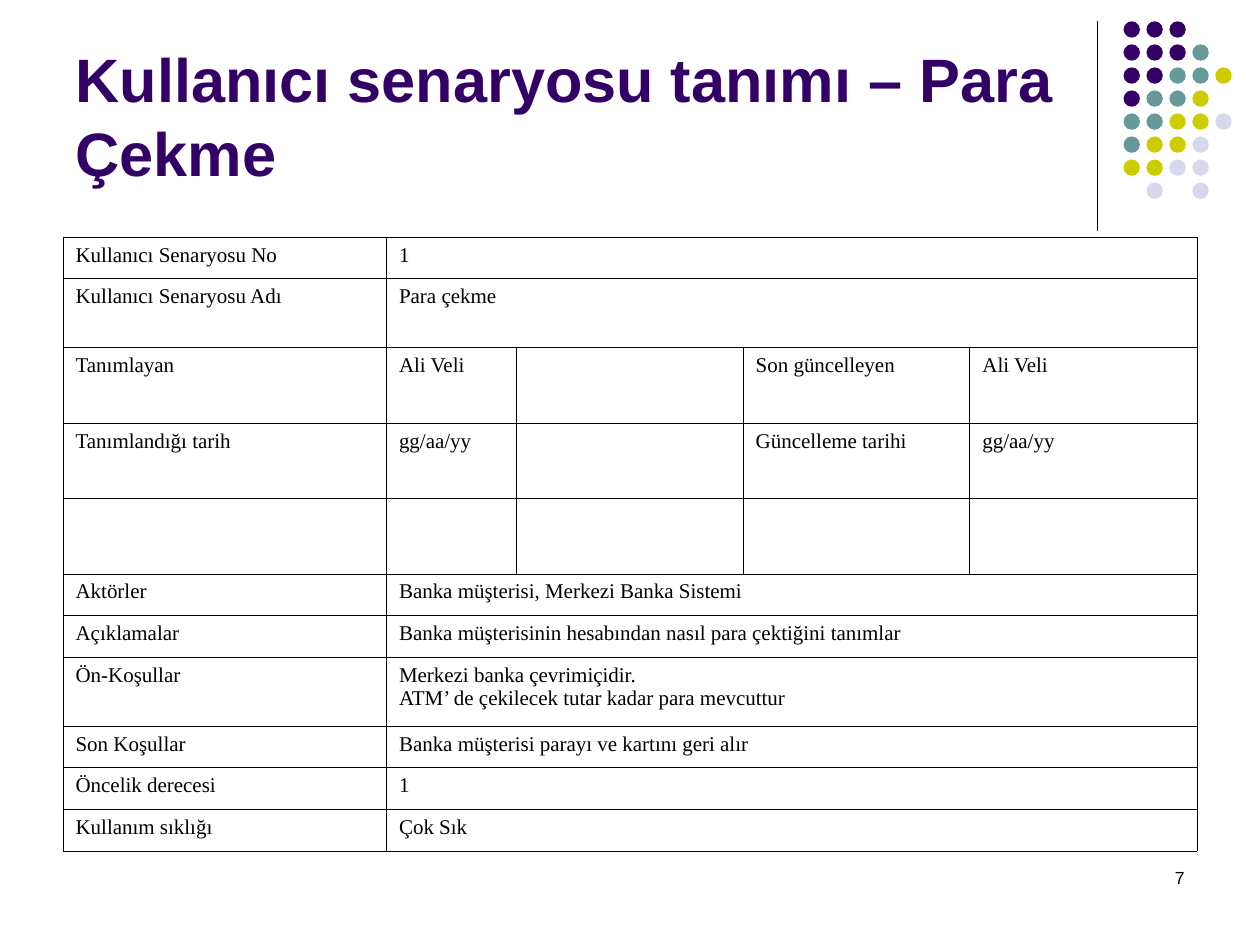
import dataclasses

import pptx
import pptx.dml.color
import pptx.enum.shapes
import pptx.enum.text
import pptx.oxml.xmlchemy
import pptx.util

Cm = pptx.util.Cm
Pt = pptx.util.Pt
OxmlElement = pptx.oxml.xmlchemy.OxmlElement
ALIGN = pptx.enum.text.PP_ALIGN
ANCHOR = pptx.enum.text.MSO_ANCHOR


@dataclasses.dataclass(frozen=True)
class Theme:
    purple: str = "330066"
    teal: str = "669999"
    olive: str = "CCCC00"
    lavender: str = "D8D8EC"
    black: str = "000000"
    heading_face: str = "Arial"
    table_face: str = "Times New Roman"
    title_size: float = 35
    table_size: float = 12
    number_size: float = 10
    rule_width: float = 0.75
    border_width: float = 0.45


THEME = Theme()

TITLE_BOX = (1.27, 0.33, 20.96, 3.6)
RULE_BOX = (22.12, 0.43, 0, 4.22)
DOTS_BOX = (22.65, 0.43, 2.18, 3.58)
TABLE_BOX = (1.27, 4.78, 22.86, 12.26)
NUMBER_BOX = (18.21, 17.35, 5.92, 1.27)

DOT_SIZE = 0.33
DOT_COLOURS = {"P": THEME.purple, "T": THEME.teal, "O": THEME.olive, "L": THEME.lavender}
DOT_ROWS = ["PPP", "PPPT", "PPTTO", "PTTO", "TTOOL", "TOOL", "OOLL", " L L"]

COLUMN_WIDTHS = [6.52, 2.62, 4.57, 4.57, 4.58]
SHORT, MEDIUM, TALL = 0.84, 1.39, 1.52
HANGING_INDENT = 0.97
SCENARIO = [
    (SHORT, ["Kullanıcı Senaryosu No", "1"]),
    (MEDIUM, ["Kullanıcı Senaryosu Adı", "Para çekme"]),
    (TALL, ["Tanımlayan", "Ali Veli", "", "Son güncelleyen", "Ali Veli"]),
    (TALL, ["Tanımlandığı tarih", "gg/aa/yy", "", "Güncelleme tarihi", "gg/aa/yy"]),
    (TALL, ["", "", "", "", ""]),
    (SHORT, ["Aktörler", "Banka müşterisi, Merkezi Banka Sistemi"]),
    (SHORT, ["Açıklamalar", "Banka müşterisinin hesabından nasıl para çektiğini tanımlar"]),
    (MEDIUM, ["Ön-Koşullar",
              "Merkezi banka çevrimiçidir.\nATM’ de çekilecek tutar kadar para mevcuttur"]),
    (SHORT, ["Son Koşullar", "Banka müşterisi parayı ve kartını geri alır"]),
    (SHORT, ["Öncelik derecesi", "1"]),
    (SHORT, ["Kullanım sıklığı", "Çok Sık"]),
]


def rgb(colour):
    return pptx.dml.color.RGBColor.from_string(colour)


def apply_format(target, values):
    for attribute, value in values.items():
        setattr(target, attribute, value)


def format_paragraph(paragraph, face, size, colour, bold=False, align=ALIGN.LEFT):
    paragraph.alignment = align
    apply_format(paragraph.font, {"name": face, "size": Pt(size), "bold": bold})
    paragraph.font.color.rgb = rgb(colour)


def place_title(slide, box):
    title = slide.shapes.title
    apply_format(title, dict(zip(("left", "top", "width", "height"), map(Cm, box))))
    title.text_frame.text = "Kullanıcı senaryosu tanımı – Para Çekme"
    apply_format(title.text_frame, {
        "vertical_anchor": ANCHOR.BOTTOM,
        "auto_size": pptx.enum.text.MSO_AUTO_SIZE.NONE,
        "word_wrap": True,
    })
    format_paragraph(title.text_frame.paragraphs[0], THEME.heading_face,
                     THEME.title_size, THEME.purple, bold=True)


def place_rule(slide, box):
    left, top, width, height = box
    rule = slide.shapes.add_connector(
        pptx.enum.shapes.MSO_CONNECTOR.STRAIGHT,
        Cm(left), Cm(top), Cm(left + width), Cm(top + height))
    rule.line.width = Pt(THEME.rule_width)
    rule.line.color.rgb = rgb(THEME.black)
    rule._element.spPr.append(OxmlElement("a:effectLst"))


def place_dots(slide, box):
    left, top, width, height = box
    column_step = (width - DOT_SIZE) / (max(map(len, DOT_ROWS)) - 1)
    row_step = (height - DOT_SIZE) / (len(DOT_ROWS) - 1)
    for row, letters in enumerate(DOT_ROWS):
        for column, letter in enumerate(letters):
            if letter == " ":
                continue
            dot = slide.shapes.add_shape(
                pptx.enum.shapes.MSO_SHAPE.OVAL,
                Cm(left + column * column_step), Cm(top + row * row_step),
                Cm(DOT_SIZE), Cm(DOT_SIZE))
            dot.shadow.inherit = False
            dot.fill.solid()
            dot.fill.fore_color.rgb = rgb(DOT_COLOURS[letter])
            dot.line.fill.background()


def draw_borders(cell):
    properties = cell._tc.get_or_add_tcPr()
    for position, side in enumerate(("a:lnL", "a:lnR", "a:lnT", "a:lnB")):
        border = OxmlElement(side)
        border.set("w", str(int(Pt(THEME.border_width))))
        fill = OxmlElement("a:solidFill")
        colour = OxmlElement("a:srgbClr")
        colour.set("val", THEME.black)
        fill.append(colour)
        border.append(fill)
        properties.insert(position, border)


def fill_cell(cell, wording):
    if not wording:
        return
    cell.text = wording
    for paragraph in cell.text_frame.paragraphs:
        properties = paragraph._p.get_or_add_pPr()
        properties.set("marL", str(int(Cm(HANGING_INDENT))))
        properties.set("indent", str(-int(Cm(HANGING_INDENT))))
        format_paragraph(paragraph, THEME.table_face, THEME.table_size, THEME.black)


def place_scenario(slide, box):
    scenario = slide.shapes.add_table(
        len(SCENARIO), len(COLUMN_WIDTHS), *map(Cm, box)).table
    apply_format(scenario, {"first_row": False, "horz_banding": False})
    for column, width in zip(scenario.columns, COLUMN_WIDTHS):
        column.width = Cm(width)
    for cell in scenario.iter_cells():
        cell.fill.background()
        draw_borders(cell)
    last = len(COLUMN_WIDTHS) - 1
    for row, (height, entries) in enumerate(SCENARIO):
        scenario.rows[row].height = Cm(height)
        if len(entries) == 2:
            scenario.cell(row, 1).merge(scenario.cell(row, last))
        for column, wording in enumerate(entries):
            fill_cell(scenario.cell(row, column), wording)


def place_number(slide, box):
    frame = slide.shapes.add_textbox(*map(Cm, box)).text_frame
    frame.word_wrap = True
    frame.text = "7"
    format_paragraph(frame.paragraphs[0], THEME.heading_face,
                     THEME.number_size, THEME.black, align=ALIGN.RIGHT)


def main():
    deck = pptx.Presentation()
    apply_format(deck, {"slide_width": Cm(25.4), "slide_height": Cm(19.05)})
    slide = deck.slides.add_slide(deck.slide_layouts[5])
    place_rule(slide, RULE_BOX)
    place_dots(slide, DOTS_BOX)
    place_number(slide, NUMBER_BOX)
    place_title(slide, TITLE_BOX)
    place_scenario(slide, TABLE_BOX)
    deck.save("out.pptx")


if __name__ == "__main__":
    main()
